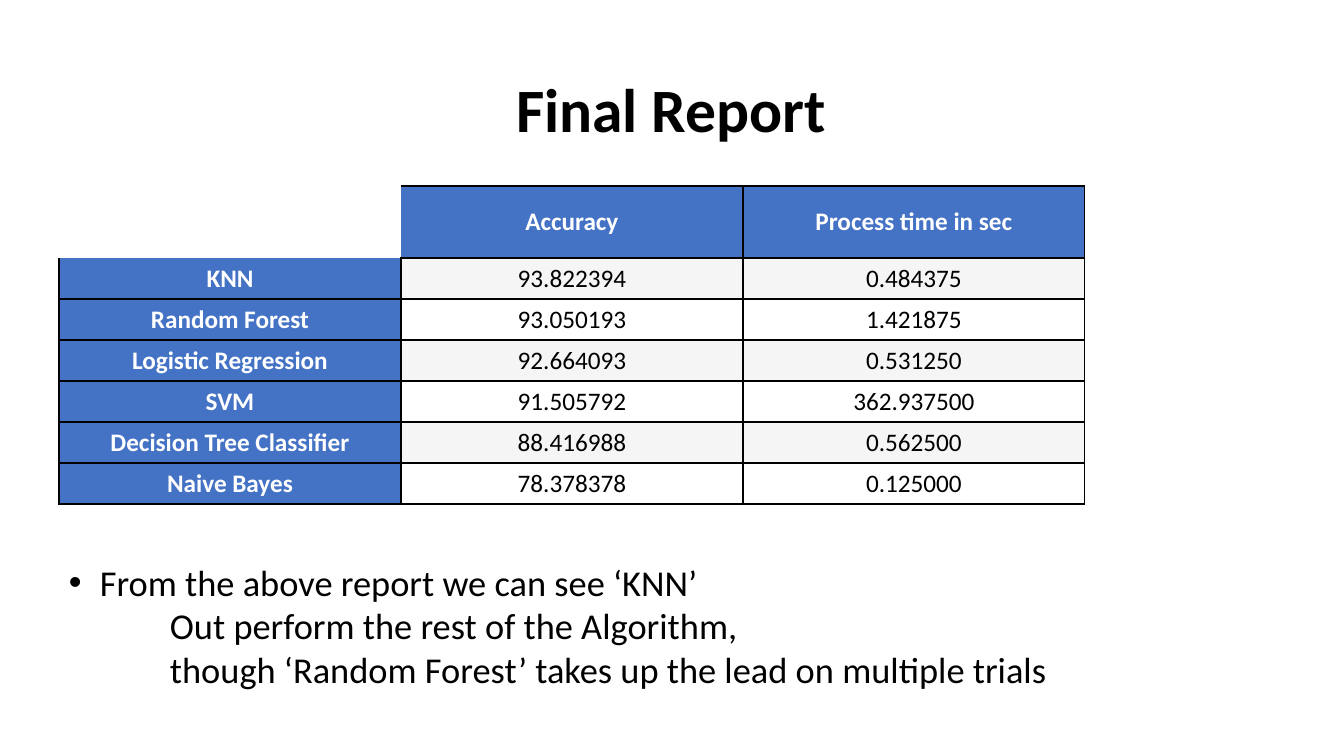
from lxml import etree
from pptx import Presentation
from pptx.dml.color import RGBColor
from pptx.enum.text import MSO_ANCHOR, PP_ALIGN
from pptx.oxml.ns import qn
from pptx.util import Pt

MIDDLE, TOP = MSO_ANCHOR.MIDDLE, MSO_ANCHOR.TOP
LEFT, CENTER = PP_ALIGN.LEFT, PP_ALIGN.CENTER
EMU_PER_PX = 914400 / 100.8
FONT = "Calibri"
COLORS = {"text": "000000", "header": "4472C4", "header_text": "FFFFFF",
          "band": "F5F5F5", "border": "000000"}
REPORT = [
    ("", "Accuracy", "Process time in sec"),
    ("KNN", "93.822394", "0.484375"),
    ("Random Forest", "93.050193", "1.421875"),
    ("Logistic Regression", "92.664093", "0.531250"),
    ("SVM", "91.505792", "362.937500"),
    ("Decision Tree Classifier", "88.416988", "0.562500"),
    ("Naive Bayes", "78.378378", "0.125000"),
]
FINDINGS = [
    "From the above report we can see ‘KNN’",
    "Out perform the rest of the Algorithm,",
    "though ‘Random Forest’ takes up the lead on multiple trials",
]


def px(n):
    """Turn pixels into EMU."""
    return round(n * EMU_PER_PX)


def style(p, size, color="text", bold=False, align=LEFT):
    """Format a paragraph and its runs."""
    p.alignment = align
    for r in p.runs:
        r.font.name, r.font.size, r.font.bold = FONT, Pt(size), bold
        r.font.color.rgb = RGBColor.from_string(COLORS[color])


def add_text(s, box, lines, size, bold=False, align=LEFT, anchor=TOP):
    """Add a wrapping text box and return its paragraphs."""
    tf = s.shapes.add_textbox(*map(px, box)).text_frame
    tf.word_wrap = True
    tf.vertical_anchor = anchor
    tf.text = "\n".join(lines)
    for p in tf.paragraphs:
        style(p, size, bold=bold, align=align)
    return tf.paragraphs


def indent(p, left, bullet=None):
    """Indent a paragraph, hanging a bullet if one is given."""
    pPr = p._p.get_or_add_pPr()
    pPr.set("marL", str(px(left)))
    pPr.set("indent", str(px(-left) if bullet else 0))
    if bullet:
        etree.SubElement(pPr, qn("a:buFont")).set("typeface", "Arial")
        etree.SubElement(pPr, qn("a:buChar")).set("char", bullet)


def set_borders(cell, sides):
    """Draw the named cell sides and clear the others."""
    tcPr = cell._tc.get_or_add_tcPr()
    for i, side in enumerate("LRTB"):
        ln = etree.Element(qn("a:ln" + side), w=str(Pt(1)))
        if side in sides:
            fill = etree.SubElement(ln, qn("a:solidFill"))
            etree.SubElement(fill, qn("a:srgbClr")).set("val", COLORS["border"])
        else:
            etree.SubElement(ln, qn("a:noFill"))
        tcPr.insert(i, ln)


def set_fill(cell, color):
    """Fill a cell, or leave it clear when no colour is given."""
    if color:
        cell.fill.solid()
        cell.fill.fore_color.rgb = RGBColor.from_string(COLORS[color])
    else:
        cell.fill.background()


def add_report_table(s, left, top, col_width, header_height, row_height):
    """Add the table with header row, header column and banded values."""
    n_rows, n_cols = len(REPORT), len(REPORT[0])
    height = header_height + row_height * (n_rows - 1)
    table = s.shapes.add_table(n_rows, n_cols, px(left), px(top),
                               px(col_width * n_cols), px(height)).table
    for col in table.columns:
        col.width = px(col_width)
    corner_sides = {(0, 0): "", (0, 1): "RTB", (1, 0): "LRB"}
    for i, values in enumerate(REPORT):
        table.rows[i].height = px(row_height if i else header_height)
        for j, value in enumerate(values):
            cell = table.cell(i, j)
            cell.text = value
            cell.vertical_anchor = MIDDLE
            is_header = i == 0 or j == 0
            style(cell.text_frame.paragraphs[0], 18,
                  "header_text" if is_header else "text", is_header, CENTER)
            if is_header:
                set_fill(cell, "header" if value else None)
            else:
                set_fill(cell, "band" if i % 2 else None)
            set_borders(cell, corner_sides.get((i, j), "LRTB"))


def main():
    """Build the final report slide."""
    prs = Presentation()
    prs.slide_width, prs.slide_height = px(1344), px(756)
    s = prs.slides.add_slide(prs.slide_layouts[6])
    title, = add_text(s, (92, 40, 1159, 146), ["Final Report"], 44, True, CENTER, MIDDLE)
    title.line_spacing = 0.9
    add_report_table(s, 59, 186, 342, 72, 41)
    first, *rest = add_text(s, (59, 555, 1043, 142), FINDINGS, 26)
    indent(first, 31, "•")
    for p in rest:
        indent(p, 101)
    prs.save("out.pptx")


main()
